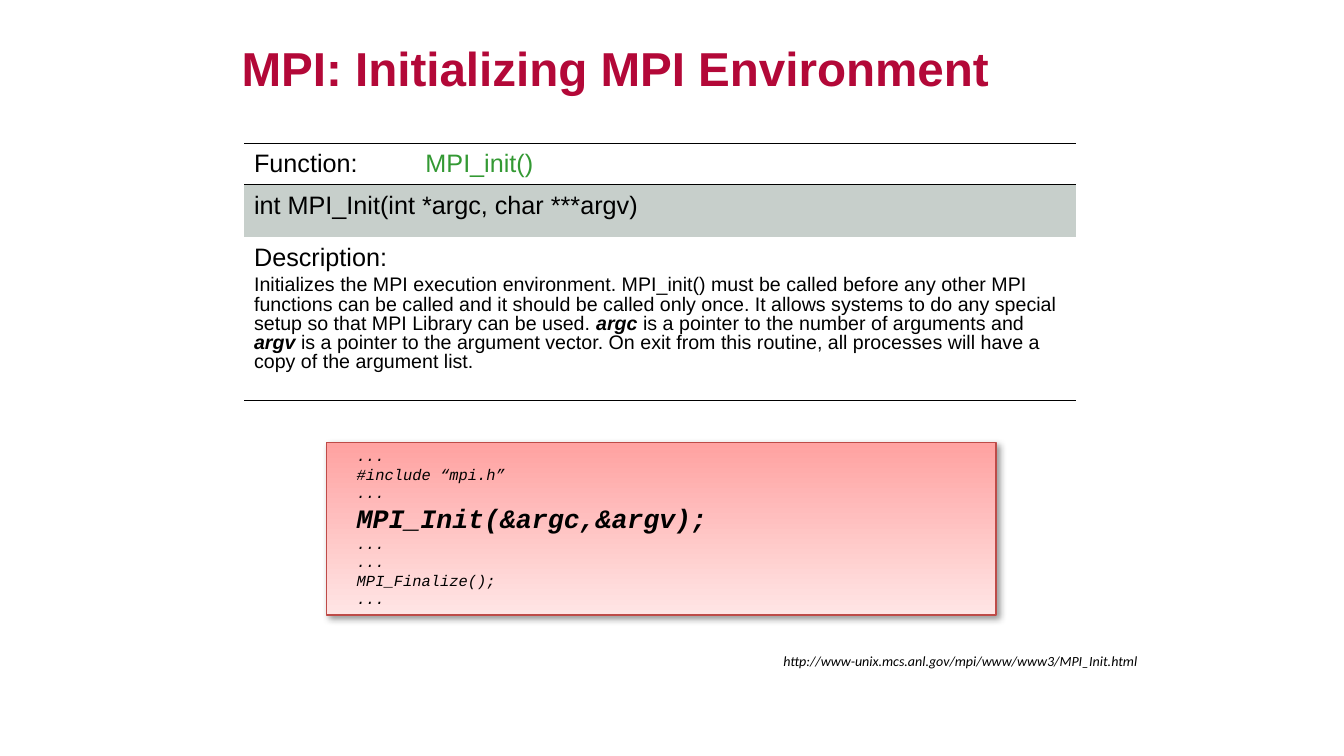
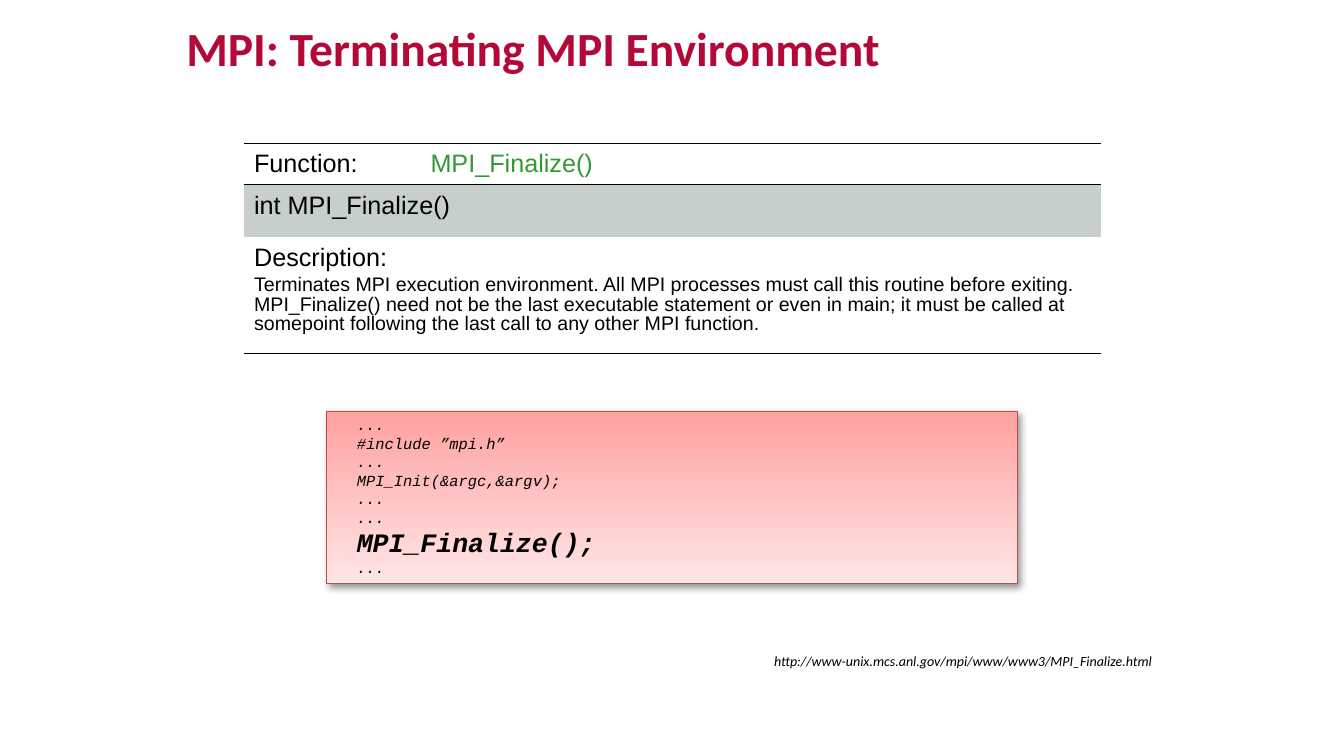
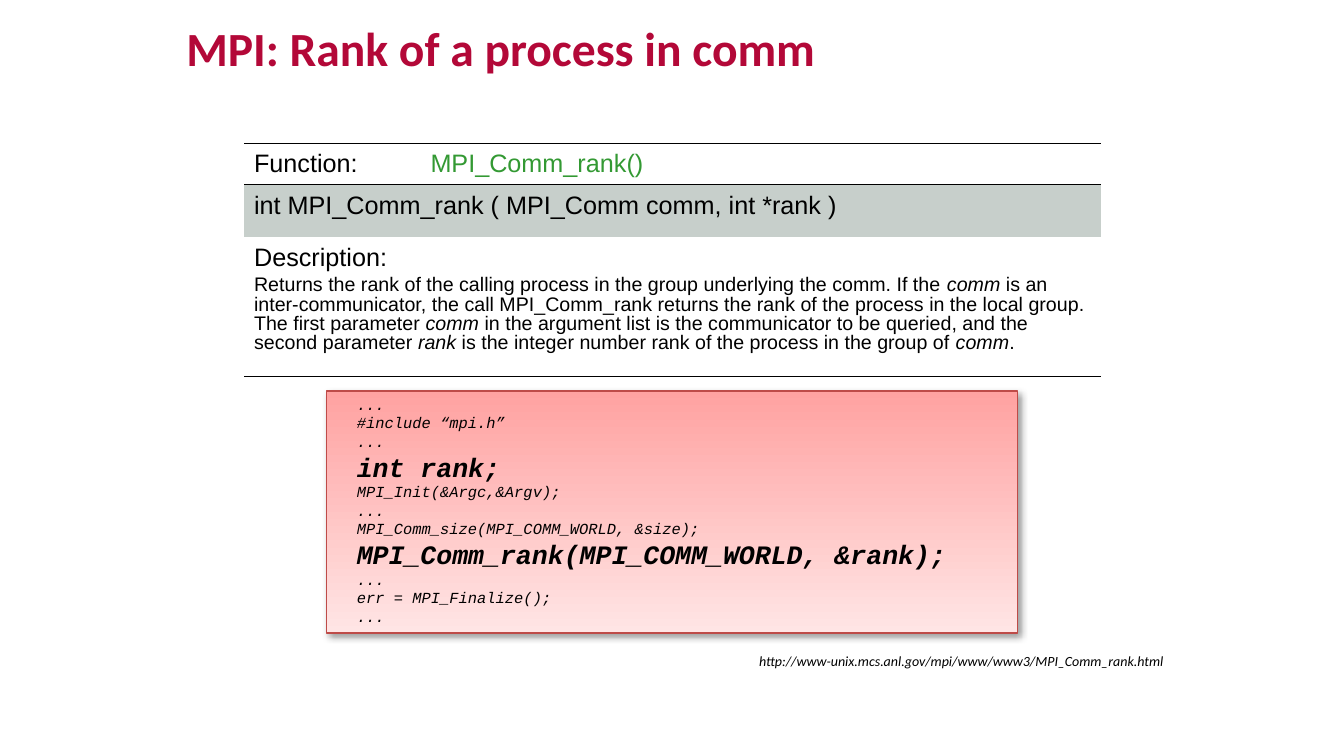
from lxml import etree
from pptx import Presentation
from pptx.dml.color import RGBColor
from pptx.enum.shapes import MSO_SHAPE
from pptx.enum.text import MSO_ANCHOR, MSO_AUTO_SIZE, PP_ALIGN
from pptx.oxml.ns import qn
from pptx.util import Inches, Pt

RECT = MSO_SHAPE.RECTANGLE
TOP, MIDDLE = MSO_ANCHOR.TOP, MSO_ANCHOR.MIDDLE
LEFT, CENTER = PP_ALIGN.LEFT, PP_ALIGN.CENTER
GROW = MSO_AUTO_SIZE.SHAPE_TO_FIT_TEXT

BLACK = RGBColor(0x00, 0x00, 0x00)
CRIMSON = RGBColor(0xB3, 0x08, 0x38)
GREEN = RGBColor(0x33, 0x99, 0x33)
GREY = RGBColor(0xC7, 0xCF, 0xCB)
PINK = RGBColor(0xFF, 0xA2, 0xA1)
PALE_PINK = RGBColor(0xFF, 0xE5, 0xE5)
BRICK = RGBColor(0xBE, 0x4B, 0x48)

SANS, HEAD, MONO = "Arial", "Calibri", "Courier New"
NO_STYLE = "{2D5ABB26-0587-4C30-8999-92F81FD0307C}"
TABLE_LEFT, TABLE_TOP = 2.42, 1.42
HEAD_ROWS = (0.41, 0.52)
ROW_RULES = (True, True, False, True)
CODE_LEFT = 3.24
URL_TOP, URL_HEIGHT = 6.42, 0.27
URL_BASE = "http://www-unix.mcs.anl.gov/mpi/www/www3/"
EMPH = {"italic": True}
STRONG = {"bold": True, "italic": True}
LEFT_TITLE = {"box": (1.75, 0.14, 9.58, 0.61), "font": HEAD, "align": LEFT, "anchor": TOP}
CENTER_TITLE = {"box": (1.92, 0.25, 8.37, 0.83), "font": SANS, "align": CENTER, "anchor": MIDDLE}

SLIDES = [
    {
        "title": "MPI: Initializing MPI Environment",
        "title_style": CENTER_TITLE,
        "function": "MPI_init()",
        "signature": "int MPI_Init(int *argc, char ***argv)",
        "description": [
            ("Initializes the MPI execution environment. MPI_init() must be called before any "
             "other MPI functions can be called and it should be called only once. It allows "
             "systems to do any special setup so that MPI Library can be used. ", {}),
            ("argc", STRONG),
            (" is a pointer to the number of arguments and ", {}),
            ("argv", STRONG),
            (" is a pointer to the argument vector. On exit from this routine, all processes "
             "will have a copy of the argument list.", {}),
        ],
        "cols": (1.7, 6.55),
        "body_row": 1.62,
        "code": ["...", "#include “mpi.h”", "...", "MPI_Init(&argc,&argv);",
                 "...", "...", "MPI_Finalize();", "..."],
        "key_lines": {3},
        "code_box": (4.39, 6.64, 1.71),
        "page": "MPI_Init.html",
        "url_span": (7.67, 3.75),
    },
    {
        "title": "MPI: Terminating MPI Environment",
        "title_style": LEFT_TITLE,
        "function": "MPI_Finalize()",
        "signature": "int MPI_Finalize()",
        "description": [
            ("Terminates MPI execution environment. All MPI processes must call this routine "
             "before exiting. MPI_Finalize() need not be the last executable statement or even "
             "in main; it must be called at somepoint following the last call to any other MPI "
             "function.", {}),
        ],
        "cols": (1.75, 6.75),
        "body_row": 1.15,
        "code": ["...", "#include ”mpi.h”", "...", "MPI_Init(&argc,&argv);",
                 "...", "...", "MPI_Finalize();", "..."],
        "key_lines": {6},
        "code_box": (4.08, 6.85, 1.71),
        "page": "MPI_Finalize.html",
        "url_span": (7.58, 4.17),
    },
    {
        "title": "MPI: Rank of a process in comm",
        "title_style": LEFT_TITLE,
        "function": "MPI_Comm_rank()",
        "signature": "int MPI_Comm_rank ( MPI_Comm comm, int *rank )",
        "description": [
            ("Returns the rank of the calling process in the group underlying the comm. "
             "If the ", {}),
            ("comm ", EMPH),
            ("is an inter-communicator, the call MPI_Comm_rank returns the rank of the process "
             "in the local group. The first parameter ", {}),
            ("comm", EMPH),
            (" in the argument list is the communicator to be queried, and the second "
             "parameter ", {}),
            ("rank", EMPH),
            (" is the integer number rank of the process in the group of ", {}),
            ("comm", EMPH),
            (".", {}),
        ],
        "cols": (1.75, 6.75),
        "body_row": 1.38,
        "code": ["...", "#include “mpi.h”", "...", "int rank;", "MPI_Init(&Argc,&Argv);",
                 "...", "MPI_Comm_size(MPI_COMM_WORLD, &size);",
                 "MPI_Comm_rank(MPI_COMM_WORLD, &rank);", "...",
                 "err = MPI_Finalize();", "..."],
        "key_lines": {3, 7},
        "code_box": (3.88, 6.85, 2.4),
        "page": "MPI_Comm_rank.html",
        "url_span": (7.43, 4.25),
    },
]


def add_text(tf, text, size=18, font=SANS, color=BLACK, bold=False, italic=False,
             align=LEFT, spacing=None, before=None, indent=None, first=True):
    p = tf.paragraphs[0] if first else tf.add_paragraph()
    p.alignment = align
    if spacing:
        p.line_spacing = spacing
    if before:
        p.space_before = Pt(before)
    if indent:
        pPr = p._p.get_or_add_pPr()
        pPr.set("marL", str(Inches(indent)))
        pPr.set("indent", str(Inches(indent)))
    runs = [(text, {})] if isinstance(text, str) else text
    for part, style in runs:
        r = p.add_run()
        r.text = part
        r.font.name = font
        r.font.size = Pt(size)
        r.font.color.rgb = color
        r.font.bold = style.get("bold", bold)
        r.font.italic = style.get("italic", italic)


def add_box(slide, box):
    sp = slide.shapes.add_textbox(*map(Inches, box))
    sp.text_frame.word_wrap = True
    return sp.text_frame


def add_title(slide, text, style):
    tf = add_box(slide, style["box"])
    tf.vertical_anchor = style["anchor"]
    add_text(tf, text, size=34, font=style["font"], color=CRIMSON, bold=True,
             align=style["align"])


def add_borders(cell, above, below):
    tcPr = cell._tc.get_or_add_tcPr()
    for position, (side, visible) in enumerate((("lnT", above), ("lnB", below))):
        ln = etree.Element(qn(f"a:{side}"), w=str(Pt(0.23)))
        if visible:
            fill = etree.SubElement(ln, qn("a:solidFill"))
            etree.SubElement(fill, qn("a:srgbClr"), val=str(BLACK))
        else:
            etree.SubElement(ln, qn("a:noFill"))
        tcPr.insert(position, ln)


def add_function_table(slide, data):
    rows = HEAD_ROWS + (data["body_row"],)
    cols = data["cols"]
    frame = slide.shapes.add_table(len(rows), len(cols), Inches(TABLE_LEFT), Inches(TABLE_TOP),
                                   Inches(sum(cols)), Inches(sum(rows)))
    table = frame.table
    table.first_row = table.horz_banding = False
    table._tbl.tblPr.find(qn("a:tableStyleId")).text = NO_STYLE
    for column, width in zip(table.columns, cols):
        column.width = Inches(width)
    for row, height in zip(table.rows, rows):
        row.height = Inches(height)
    for i in (1, 2):
        table.cell(i, 0).merge(table.cell(i, 1))
    for i in range(len(rows)):
        for j in range(len(cols)):
            cell = table.cell(i, j)
            cell.margin_left = cell.margin_right = cell.margin_top = Inches(0.1)
            cell.margin_bottom = Inches(0.05)
            if i == 1:
                cell.fill.solid()
                cell.fill.fore_color.rgb = GREY
            else:
                cell.fill.background()
            add_borders(cell, ROW_RULES[i], ROW_RULES[i + 1])
    entries = [(0, 0, "Function:", BLACK), (0, 1, data["function"], GREEN),
               (1, 0, data["signature"], BLACK), (2, 0, "Description:", BLACK)]
    for i, j, text, color in entries:
        add_text(table.cell(i, j).text_frame, text, color=color, spacing=0.87)
    add_text(table.cell(2, 0).text_frame, data["description"], size=14, spacing=0.87,
             before=3.5, first=False)


def add_shadow(sp):
    sp.shadow.inherit = False
    effects = sp._element.spPr.find(qn("a:effectLst"))
    shadow = etree.SubElement(effects, qn("a:outerShdw"), blurRad=str(Pt(5)), dist=str(Pt(3)),
                              dir=str(45 * 60000), rotWithShape="0")
    color = etree.SubElement(shadow, qn("a:srgbClr"), val=str(BLACK))
    etree.SubElement(color, qn("a:alpha"), val="40000")


def add_code(slide, lines, key_lines, box):
    top, width, height = box
    sp = slide.shapes.add_shape(RECT, *map(Inches, (CODE_LEFT, top, width, height)))
    sp.fill.gradient()
    sp.fill.gradient_angle = 270
    for stop, color, position in zip(sp.fill.gradient_stops, (PINK, PALE_PINK), (0, 1)):
        stop.color.rgb = color
        stop.position = position
    sp.line.color.rgb = BRICK
    sp.line.width = Pt(1)
    add_shadow(sp)
    tf = sp.text_frame
    tf.word_wrap = True
    tf.auto_size = GROW
    tf.vertical_anchor = TOP
    for i, line in enumerate(lines):
        key = i in key_lines
        add_text(tf, line, size=19 if key else 11, font=MONO, bold=key, italic=True,
                 spacing=None if i else 0.95, indent=0.1, first=i == 0)


def add_url(slide, page, span):
    left, width = span
    tf = add_box(slide, (left, URL_TOP, width, URL_HEIGHT))
    tf.auto_size = GROW
    add_text(tf, URL_BASE + page, size=10, font=HEAD, italic=True)


def main():
    prs = Presentation()
    prs.slide_width, prs.slide_height = Inches(13.33), Inches(7.5)
    for data in SLIDES:
        slide = prs.slides.add_slide(prs.slide_layouts[6])
        add_title(slide, data["title"], data["title_style"])
        add_function_table(slide, data)
        add_code(slide, data["code"], data["key_lines"], data["code_box"])
        add_url(slide, data["page"], data["url_span"])
    prs.save("out.pptx")


if __name__ == "__main__":
    main()
